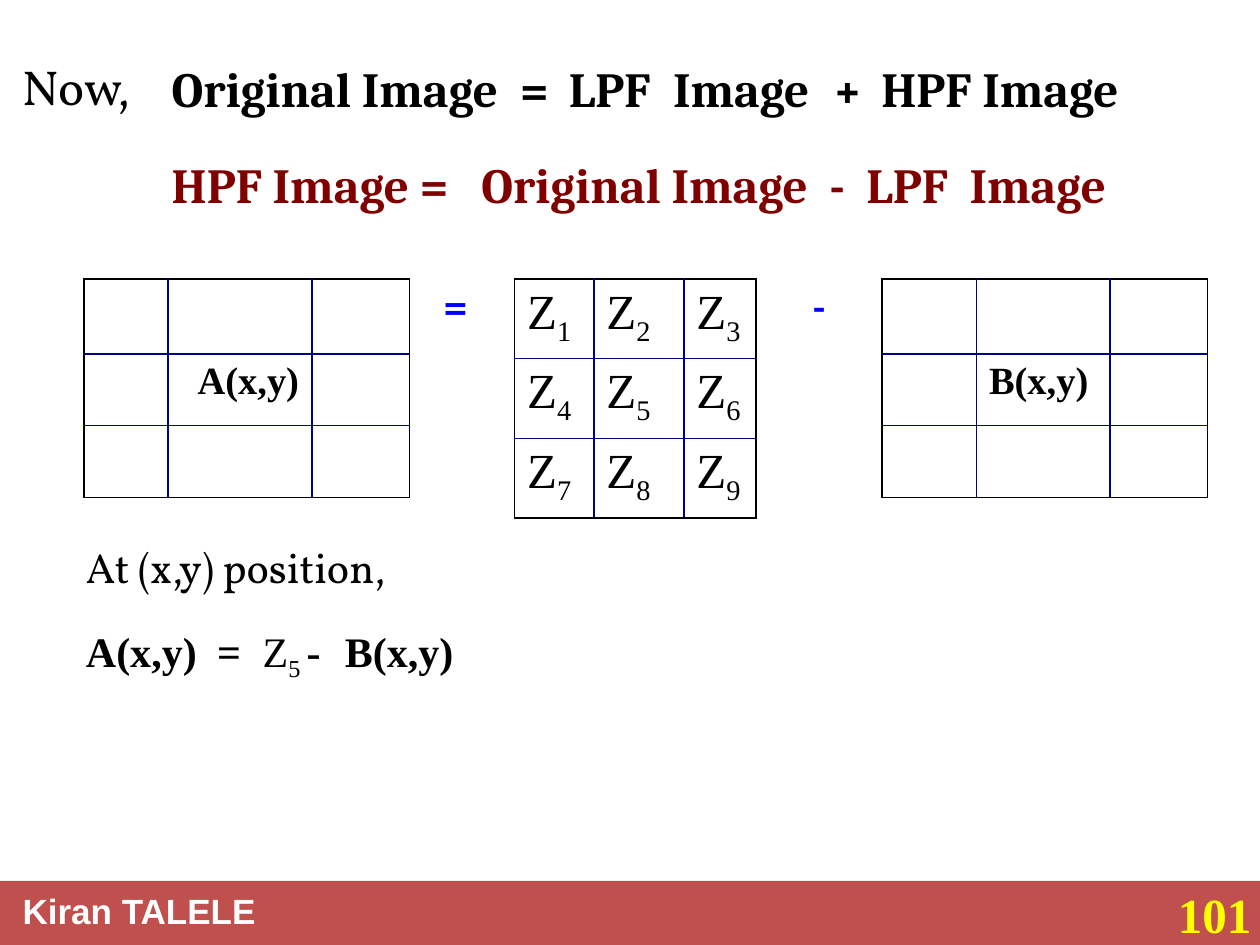
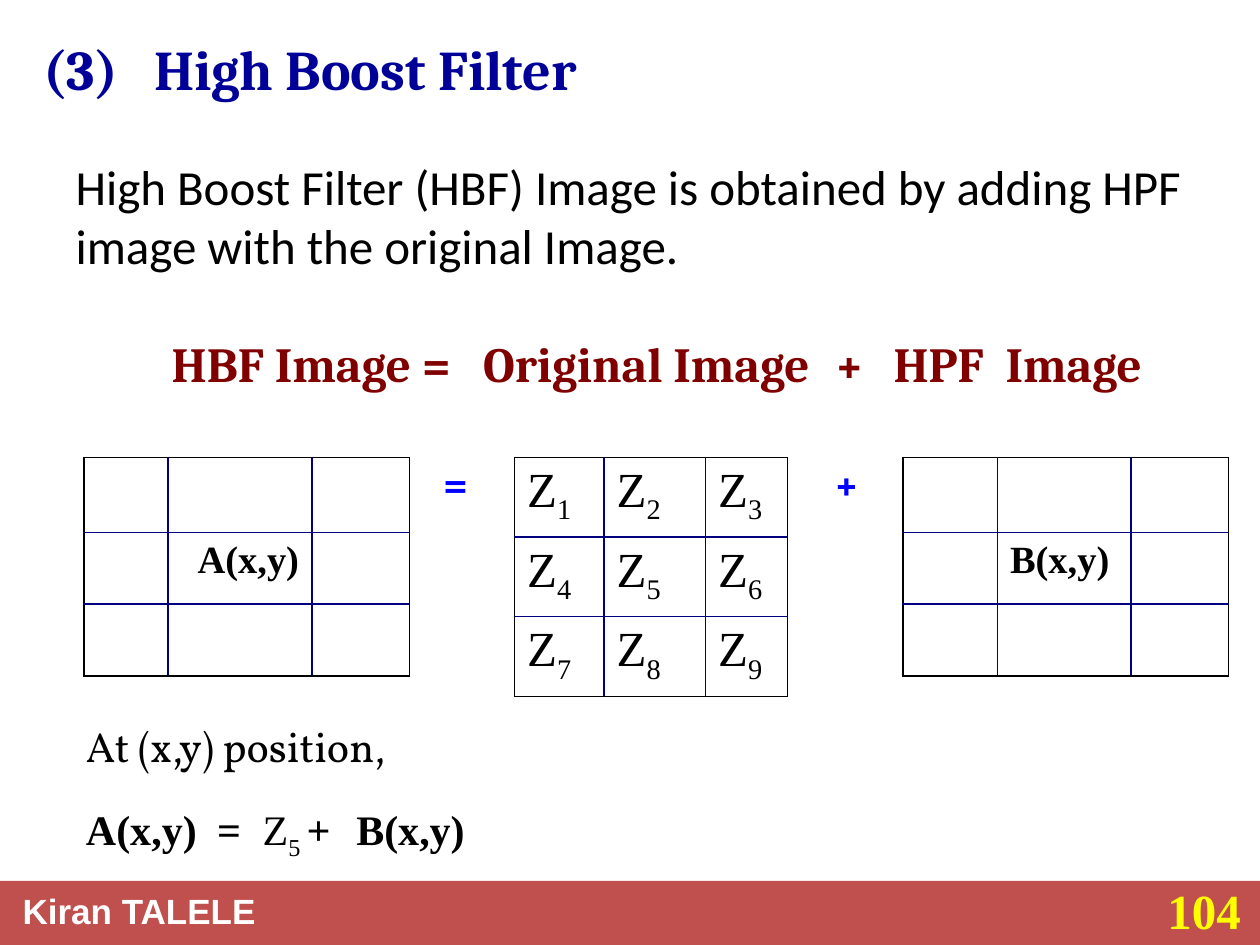
import pptx
import pptx.dml.color
import pptx.enum.shapes
import pptx.enum.text
import pptx.oxml
import pptx.oxml.ns
import pptx.util
from lxml import etree

Pt = pptx.util.Pt
ANCHOR = pptx.enum.text.MSO_ANCHOR
SLIDE_WIDTH, SLIDE_HEIGHT = 720, 540
BLANK_ROWS = [42.8, 41, 41]
SYMBOL_ROWS = [42.8] * 3
RESULT_WIDTHS = [48, 82.3, 55.7]
LOWPASS_WIDTHS = [54, 76.3, 55.7]
COLORS = {
    "text": "000000",
    "heading": "000099",
    "formula": "800000",
    "operator": "0000FF",
    "grid": "000080",
    "frame": "000000",
    "paper": "FFFFFF",
    "band": "C0504D",
    "author": "FFFFFF",
    "number": "FFFF00",
}


def rgb(color):
    return pptx.dml.color.RGBColor.from_string(COLORS[color])


class Deck:
    def __init__(self):
        self.presentation = pptx.Presentation()
        self.presentation.slide_width = Pt(SLIDE_WIDTH)
        self.presentation.slide_height = Pt(SLIDE_HEIGHT)
        self.slide = None

    def add_slide(self, number, number_left, number_top, titled=False):
        layout = self.presentation.slide_layouts[5 if titled else 6]
        self.slide = self.presentation.slides.add_slide(layout)
        band = self.slide.shapes.add_shape(
            pptx.enum.shapes.MSO_SHAPE.RECTANGLE,
            Pt(0), Pt(503.3), Pt(SLIDE_WIDTH), Pt(SLIDE_HEIGHT - 503.3))
        band.shadow.inherit = False
        band.fill.solid()
        band.fill.fore_color.rgb = rgb("band")
        band.line.fill.background()
        self.text("Kiran TALELE", 5.8, 504.7, 151, 32, 20, "Arial", "author", bold=True)
        page = self.text(number, number_left, number_top, SLIDE_WIDTH - number_left,
                         SLIDE_HEIGHT - number_top, 28, "Times New Roman",
                         "number", bold=True)
        page.text_frame.margin_right = 0

    def fill_paragraph(self, paragraph, content, size, font, color="text", bold=False,
                       tabs=()):
        """Fill a paragraph; content is a string or (text, bold, subscript) parts."""
        if tabs:
            stops = etree.SubElement(paragraph._p.get_or_add_pPr(),
                                     pptx.oxml.ns.qn("a:tabLst"))
            for position in tabs:
                etree.SubElement(stops, pptx.oxml.ns.qn("a:tab"),
                                 pos=str(int(Pt(position))), algn="l")
        paragraph.alignment = pptx.enum.text.PP_ALIGN.LEFT
        paragraph.font.size = Pt(size)
        paragraph.font.name = font
        paragraph.font.color.rgb = rgb(color)
        if isinstance(content, str):
            paragraph.font.bold = bold
            paragraph.add_run().text = content
            return
        for part, part_bold, subscript in content:
            run = paragraph.add_run()
            run.text = part
            run.font.bold = part_bold
            if subscript:
                run._r.get_or_add_rPr().set("baseline", "-25000")

    def text(self, content, left, top, width, height, size, font, color="text",
             bold=False, tabs=(), anchor=ANCHOR.TOP):
        box = self.slide.shapes.add_textbox(Pt(left), Pt(top), Pt(width), Pt(height))
        box.text_frame.word_wrap = True
        box.text_frame.vertical_anchor = anchor
        self.fill_paragraph(box.text_frame.paragraphs[0], content, size, font, color,
                            bold, tabs)
        return box

    def title(self, content, left, top, width, height):
        title = self.slide.shapes.title
        title.left, title.top = Pt(left), Pt(top)
        title.width, title.height = Pt(width), Pt(height)
        title.text_frame.vertical_anchor = ANCHOR.MIDDLE
        self.fill_paragraph(title.text_frame.paragraphs[0], content, 28, "Calibri")

    def equation(self, content, top, color, tabs):
        self.text(content, 91, top, 610, 41, 28, "Cambria", color, bold=True, tabs=tabs)

    def operator(self, sign, left, top):
        self.text(sign, left, top, 29, 37, 24, "Cambria", "operator", bold=True)

    def border(self, cell, row, column):
        """Draw the outer edges in the frame colour and the inner ones in the grid colour."""
        outer = {"L": column == 0, "R": column == 2, "T": row == 0, "B": row == 2}
        for index, (side, is_outer) in enumerate(outer.items()):
            color = COLORS["frame" if is_outer else "grid"]
            cell._tc.get_or_add_tcPr().insert(index, pptx.oxml.parse_xml(
                f'<a:ln{side} {pptx.oxml.ns.nsdecls("a")} w="{int(Pt(1))}">'
                f'<a:solidFill><a:srgbClr val="{color}"/></a:solidFill></a:ln{side}>'))

    def grid(self, left, top, widths, heights):
        table = self.slide.shapes.add_table(
            3, 3, Pt(left), Pt(top), Pt(sum(widths)), Pt(sum(heights))).table
        table.first_row = table.horz_banding = False
        for index in range(3):
            table.columns[index].width = Pt(widths[index])
            table.rows[index].height = Pt(heights[index])
        for index, cell in enumerate(table.iter_cells()):
            cell.fill.solid()
            cell.fill.fore_color.rgb = rgb("paper")
            self.border(cell, *divmod(index, 3))
        return table

    def center_grid(self, label, left, top, widths, indent=7.2):
        center = self.grid(left, top, widths, BLANK_ROWS).cell(1, 1)
        center.margin_left = Pt(indent)
        self.fill_paragraph(center.text_frame.paragraphs[0], label, 22,
                            "Times New Roman", bold=True)

    def symbol_grid(self, left, top, widths):
        table = self.grid(left, top, widths, SYMBOL_ROWS)
        for number, cell in enumerate(table.iter_cells(), start=1):
            self.fill_paragraph(cell.text_frame.paragraphs[0],
                                [("Z", False, False), (str(number), False, True)],
                                28, "Times New Roman")

    def derivation(self, top, formula, formula_tabs, sign, sign_left,
                   symbol_widths, lowpass_left, last_tab):
        """Place a formula, its mask grids and the result at (x,y) below each other."""
        self.equation(formula, top, "formula", formula_tabs)
        grid_top = top + 74.5
        self.center_grid("A(x,y)", 48, grid_top, RESULT_WIDTHS, indent=17)
        self.operator("=", 246.2, top + 71)
        self.symbol_grid(294, grid_top, symbol_widths)
        self.operator(sign, sign_left, top + 71)
        self.center_grid("B(x,y)", lowpass_left, grid_top, LOWPASS_WIDTHS)
        self.text("At (x,y) position,", 42, top + 220.5, 240, 37, 24, "Vollkorn",
                  anchor=ANCHOR.MIDDLE)
        result = [("A(x,y)\t=\t", True, False), ("Z", False, False),
                  ("5 ", False, True), (f"{sign}\tB(x,y)", True, False)]
        self.text(result, 42, top + 268.7, 660, 37, 24, "Times New Roman",
                  tabs=[75, 101, last_tab])


def main():
    deck = Deck()

    deck.add_slide("101", 666, 501.8)
    deck.text("Now,", 5.8, 28.8, 102, 41, 28, "Vollkorn", anchor=ANCHOR.MIDDLE)
    deck.equation("Original Image\t=\tLPF\tImage\t+\tHPF Image", 30.2, "text",
                  [199, 227, 286.5, 378, 405.5])
    deck.derivation(85, "HPF Image =\tOriginal Image\t-\tLPF\tImage",
                    [177, 376, 397, 456], "-", 457.2, [45.3, 51.5, 41.2], 504, 148)

    deck.add_slide("104", 660, 499.7, titled=True)
    deck.text("(3)\tHigh Boost Filter", 18, 11, 648, 56, 32, "Cambria", "heading",
              bold=True, tabs=[63], anchor=ANCHOR.MIDDLE)
    deck.title("High Boost Filter (HBF) Image is obtained by adding HPF image "
               "with the original Image.", 36, 78, 672, 90)
    deck.derivation(187, "HBF Image =\tOriginal Image\t+\tHPF\tImage",
                    [178, 379, 412.5, 476.5], "+", 469.5, [51.2, 58, 46.8], 516, 154.5)

    deck.presentation.save("out.pptx")


if __name__ == "__main__":
    main()
